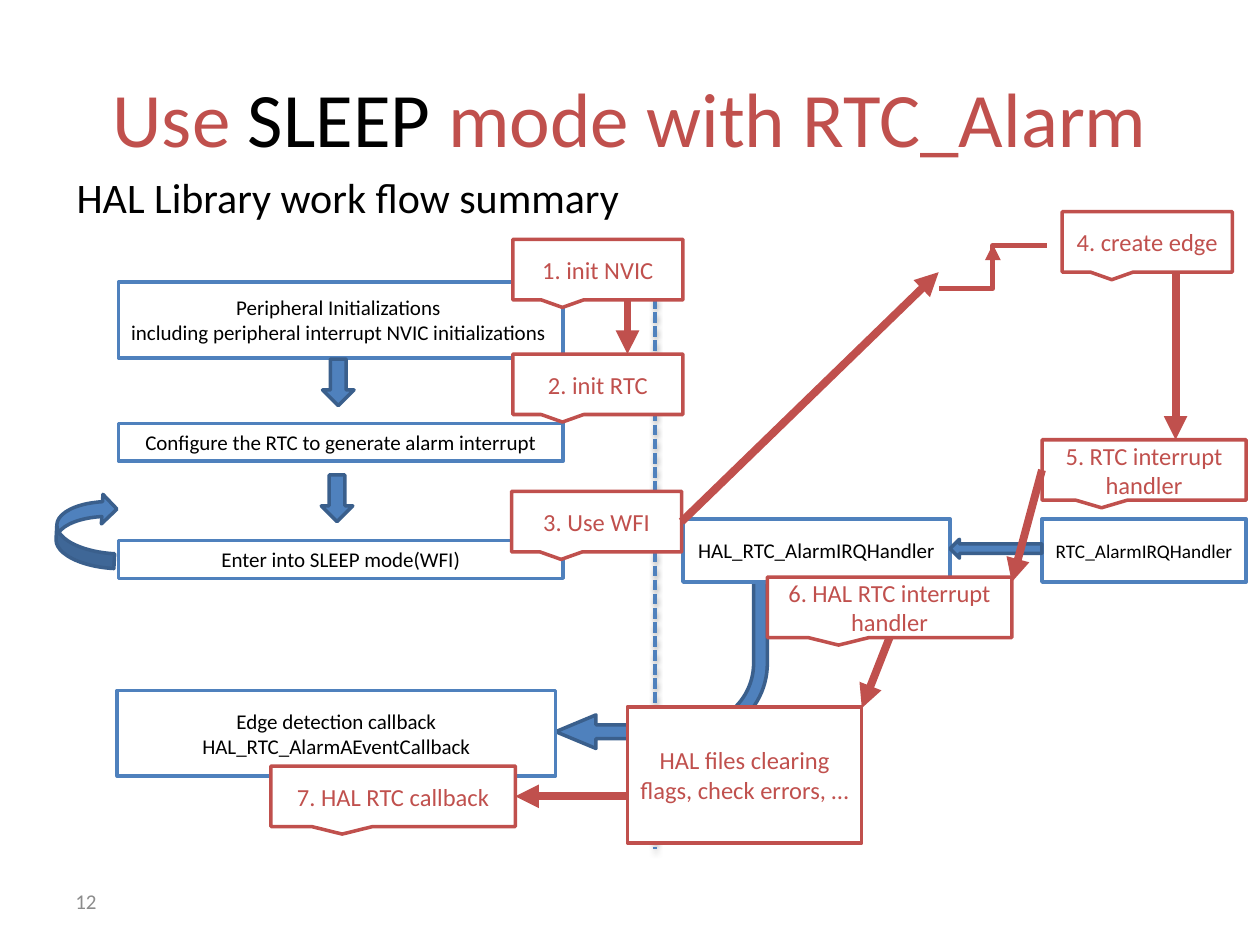
import dataclasses
import lxml.etree
import pptx
import pptx.dml.color
import pptx.enum.dml
import pptx.enum.shapes
import pptx.enum.text
import pptx.oxml.ns
import pptx.util

Kind = pptx.enum.shapes.MSO_SHAPE
Link = pptx.enum.shapes.MSO_CONNECTOR
Align = pptx.enum.text.PP_ALIGN
Anchor = pptx.enum.text.MSO_ANCHOR
qn = pptx.oxml.ns.qn


@dataclasses.dataclass(frozen=True)
class Theme:
    font: str = "Calibri"
    blue: str = "4F81BD"
    navy: str = "3A5F8C"
    red: str = "C0504D"
    black: str = "000000"
    white: str = "FFFFFF"
    gray: str = "8C8C8C"
    title: int = 44
    head: int = 24
    step: int = 14
    box: int = 12
    small: int = 11
    edge: float = 2
    pulse: float = 3
    flow: float = 4.5


THEME = Theme()
COLS, ROWS = 100, 75
CELL = pptx.util.Inches(10) // COLS


def grid(*cells):
    return [round(cell * CELL) for cell in cells]


def rgb(code):
    return pptx.dml.color.RGBColor.from_string(code)


def style(run, size, color):
    run.font.name = THEME.font
    run.font.size = pptx.util.Pt(size)
    run.font.color.rgb = rgb(color)


def write(shape, text, size, color, align=Align.CENTER, anchor=Anchor.MIDDLE):
    frame = shape.text_frame
    frame.word_wrap = True
    frame.vertical_anchor = anchor
    frame.text = text
    for para in frame.paragraphs:
        para.alignment = align
        for run in para.runs:
            style(run, size, color)


def add_title(slide, parts):
    title = slide.shapes.title
    title.left, title.top, title.width, title.height = grid(5, 3, 90, 12.5)
    title.text_frame.vertical_anchor = Anchor.MIDDLE
    para = title.text_frame.paragraphs[0]
    para.alignment = Align.CENTER
    for text, color in parts:
        run = para.add_run()
        run.text = text
        style(run, THEME.title, color)


def add_label(slide, area, text, size, color, anchor):
    label = slide.shapes.add_textbox(*grid(*area))
    write(label, text, size, color, Align.LEFT, anchor)


def add_shape(slide, kind, area, fill, edge):
    shape = slide.shapes.add_shape(kind, *grid(*area))
    shape.shadow.inherit = False
    shape.fill.solid()
    shape.fill.fore_color.rgb = rgb(fill)
    shape.line.color.rgb = rgb(edge)
    shape.line.width = pptx.util.Pt(THEME.edge)
    return shape


def add_box(slide, area, text, size=THEME.box):
    box = add_shape(slide, Kind.RECTANGLE, area, THEME.white, THEME.blue)
    write(box, text, size, THEME.black)
    return box


def add_step(slide, area, text, kind=Kind.RECTANGULAR_CALLOUT):
    step = add_shape(slide, kind, area, THEME.white, THEME.red)
    write(step, text, THEME.step, THEME.red)
    return step


def add_arrow(slide, kind, area, turn=0, shares=(), flip=False):
    arrow = add_shape(slide, kind, area, THEME.blue, THEME.navy)
    arrow.rotation = turn
    for spot, share in enumerate(shares):
        arrow.adjustments[spot] = share
    if flip:
        arrow._element.spPr.find(qn("a:xfrm")).set("flipH", "1")


def add_line(slide, start, end, color, width, kind=Link.STRAIGHT, head=False):
    line = slide.shapes.add_connector(kind, *grid(*start, *end))
    line.line.color.rgb = rgb(color)
    line.line.width = pptx.util.Pt(width)
    if head:
        stroke = line.line._get_or_add_ln()
        lxml.etree.SubElement(stroke, qn("a:tailEnd"), type="triangle")
    lxml.etree.SubElement(line._element.spPr, qn("a:effectLst"))
    return line


def add_flow(slide, start, end):
    return add_line(slide, start, end, THEME.red, THEME.flow, head=True)


def add_divider(slide):
    line = add_line(slide, (52, 20.3), (52, 67.4), THEME.blue, THEME.edge)
    line.line.dash_style = pptx.enum.dml.MSO_LINE.SQUARE_DOT
    effects = line._element.spPr.find(qn("a:effectLst"))
    shade = lxml.etree.SubElement(
        effects, qn("a:outerShdw"), blurRad=str(pptx.util.Pt(3.1)),
        dist=str(pptx.util.Pt(1.6)), dir="5400000", rotWithShape="0")
    tint = lxml.etree.SubElement(shade, qn("a:srgbClr"), val=THEME.black)
    lxml.etree.SubElement(tint, qn("a:alpha"), val="38000")


def add_pulse(slide):
    add_line(slide, (83.1, 19.5), (74.5, 22.9), THEME.red, THEME.pulse, Link.ELBOW)
    add_line(slide, (78.8, 22), (78.8, 19.4), THEME.red, THEME.pulse, head=True)


def add_boxes(slide):
    add_box(slide, (9.4, 22.4, 35.3, 6),
            "Peripheral Initializations \n"
            "including peripheral interrupt NVIC initializations ")
    add_box(slide, (9.4, 33.6, 35.3, 3), "Configure the RTC to generate alarm interrupt")
    add_box(slide, (9.4, 42.9, 35.3, 3), "Enter into SLEEP mode(WFI)")
    add_box(slide, (9.3, 54.8, 34.8, 6.8),
            "Edge detection callback\nHAL_RTC_AlarmAEventCallback")
    add_box(slide, (54.2, 41.2, 21.2, 5), "HAL_RTC_AlarmIRQHandler")
    add_box(slide, (82.7, 41.2, 16.2, 5), "RTC_AlarmIRQHandler", THEME.small)


def add_steps(slide):
    tall = 4.8
    places = [
        (40.7, 19, 13.5, "1. init NVIC"),
        (40.7, 28.1, 13.5, "2. init RTC"),
        (40.6, 39, 13.5, "3. Use WFI"),
        (84.3, 16.8, 13.5, "4. create edge"),
        (82.7, 34.9, 16.2, "5. RTC interrupt handler"),
        (60.9, 45.8, 19.4, "6. HAL RTC interrupt handler"),
        (21.5, 60.8, 19.4, "7. HAL RTC callback"),
    ]
    steps = [add_step(slide, (left, top, wide, tall), text)
             for left, top, wide, text in places]
    add_step(slide, (49.8, 56.1, 18.6, 10.8),
             "HAL files clearing flags, check errors, …", Kind.RECTANGLE)
    return steps


def add_flows(slide, steps):
    add_flow(slide, (49.8, 23.9), (49.8, 28.1))
    add_flow(slide, (54.1, 41.4), (74.5, 21.6)).begin_connect(steps[2], 3)
    add_flow(slide, (93.3, 21.6), (93.3, 34.9))
    add_flow(slide, (82.7, 37.3), (80.3, 46.2)).begin_connect(steps[4], 1)
    add_flow(slide, (70.6, 50.6), (68.4, 56.2)).begin_connect(steps[5], 2)
    add_flow(slide, (49.8, 63.2), (40.9, 63.2)).end_connect(steps[6], 3)


def main():
    deck = pptx.Presentation()
    deck.slide_width, deck.slide_height = grid(COLS, ROWS)
    slide = deck.slides.add_slide(deck.slide_layouts[5])
    add_arrow(slide, Kind.BENT_ARROW, (44.1, 46.2, 16.8, 13.2), 180,
              (0.083, 0.101, 0.242, 0.453))
    add_title(slide, [("Use", THEME.red), (" SLEEP ", THEME.black),
                      ("mode with RTC_Alarm", THEME.red)])
    add_label(slide, (5.1, 13.1, 90, 10.8), "HAL Library work flow summary",
              THEME.head, THEME.black, Anchor.TOP)
    add_label(slide, (5, 69.5, 23.3, 4), "12", THEME.box, THEME.gray, Anchor.MIDDLE)
    add_boxes(slide)
    add_arrow(slide, Kind.DOWN_ARROW, (25.6, 28.5, 2.5, 3.7))
    add_arrow(slide, Kind.DOWN_ARROW, (25.5, 37.7, 2.5, 3.7))
    add_arrow(slide, Kind.LEFT_ARROW, (75.4, 42.8, 7.3, 1.5))
    add_arrow(slide, Kind.CURVED_UP_ARROW, (3.9, 39.7, 5.9, 4.7), 93, flip=True)
    add_divider(slide)
    add_pulse(slide)
    add_flows(slide, add_steps(slide))
    deck.save("out.pptx")


if __name__ == "__main__":
    main()
